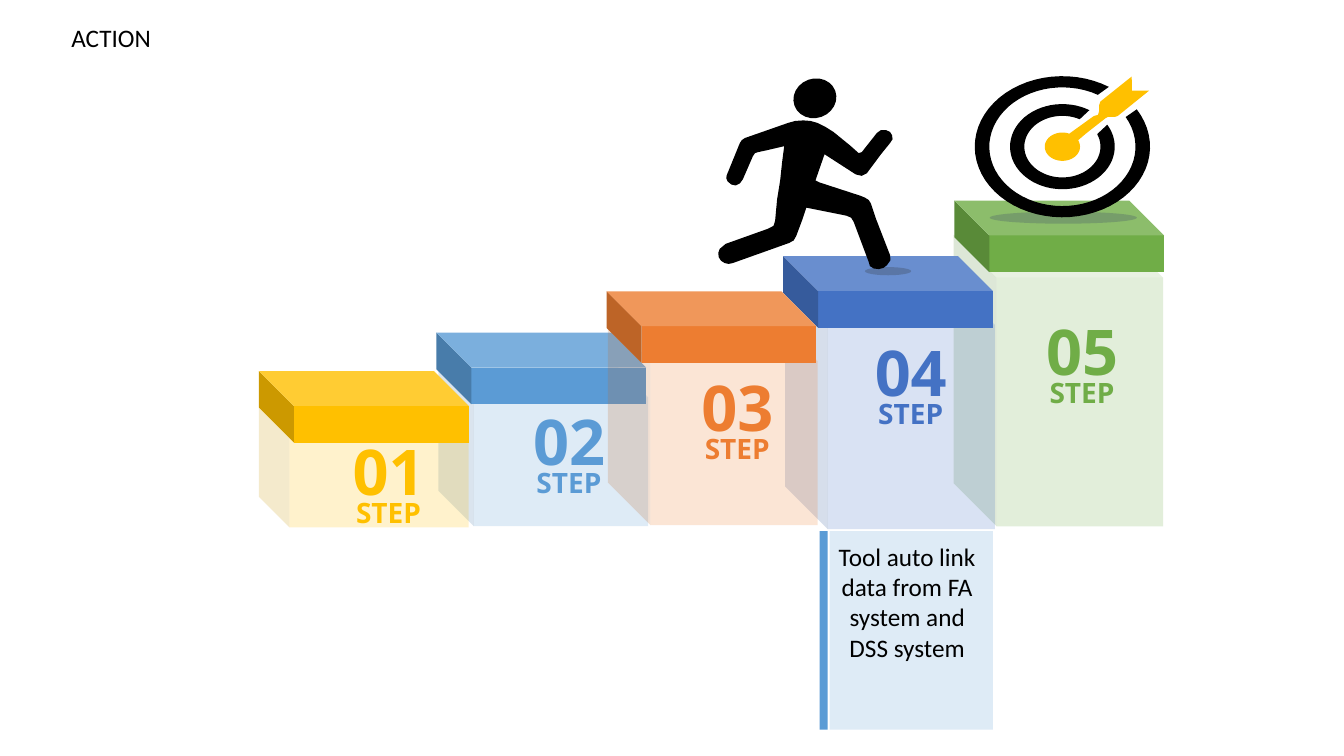
from dataclasses import dataclass
from math import cos, radians, sin

from lxml import etree
from pptx import Presentation
from pptx.dml.color import RGBColor
from pptx.enum.shapes import MSO_SHAPE
from pptx.enum.text import PP_ALIGN
from pptx.oxml.ns import qn
from pptx.util import Pt

CUBE, OVAL, RECTANGLE = MSO_SHAPE.CUBE, MSO_SHAPE.OVAL, MSO_SHAPE.RECTANGLE
LEFT, CENTER = PP_ALIGN.LEFT, PP_ALIGN.CENTER

BLACK = RGBColor(0x00, 0x00, 0x00)
SLATE = RGBColor(0x44, 0x54, 0x6A)
GOLD = RGBColor(0xFF, 0xC0, 0x00)
SKY = RGBColor(0x5B, 0x9B, 0xD5)
ORANGE = RGBColor(0xED, 0x7D, 0x31)
BLUE = RGBColor(0x44, 0x72, 0xC4)
GREEN = RGBColor(0x70, 0xAD, 0x47)

Points = list[tuple[float, float]]


@dataclass(frozen=True)
class Box:
    left: float
    top: float
    width: float
    height: float

    def lengths(self) -> tuple[Pt, Pt, Pt, Pt]:
        return Pt(self.left), Pt(self.top), Pt(self.width), Pt(self.height)


@dataclass(frozen=True)
class Step:
    number: str
    color: RGBColor
    body_left: float
    body_top: float
    body_height: float
    body_depth: float
    lid_left: float
    lid_top: float
    label_left: float
    label_top: float


@dataclass(frozen=True)
class Ring:
    """Ellipse radii, and the angles where the dart's gap ends and starts."""
    radius_x: float
    radius_y: float
    start: float
    end: float


BLOCK_WIDTH, LID_HEIGHT, LID_DEPTH = 149.8, 51.1, 0.488
LABEL_WIDTH, NUMBER_HEIGHT, WORD_HEIGHT = 85.7, 46, 23

# Back to front
STEPS = [
    Step("05", GREEN, 681.1, 167.8, 208.1, 0.205, 681.8, 143.3, 730.1, 223),
    Step("04", BLUE, 560.9, 201.6, 176.4, 0.203, 559.4, 182.9, 607.7, 238.5),
    Step("02", SKY, 313.2, 258.5, 117.4, 0.216, 311.8, 237.6, 363.6, 287.8),
    Step("01", GOLD, 185, 291.6, 85, 0.256, 185, 265, 234.7, 308.7),
    Step("03", ORANGE, 434.2, 227.5, 147.6, 0.206, 433.4, 208.1, 483.8, 263.3),
]

TARGET_X, TARGET_Y = 758.9, 104.8
RINGS = [
    (Ring(62.6, 50.4, -32, 302), Ring(52.2, 42.4, -30, 299)),
    (Ring(37.4, 30.4, -31, 301), Ring(27.2, 22, -24, 297)),
]
BULLSEYE = Ring(12.6, 10.1, -27, 293)
DART: Points = [
    (781.2, 83), (784.4, 82), (785.2, 79), (785.2, 75), (786, 72.6),
    (808.4, 54.7), (808.6, 64.7), (820.8, 64.8), (798.5, 82.8), (796.3, 83.6),
    (791.3, 83.6), (789.8, 84.4), (776, 95.2),
]
RUNNER: Points = [
    # Back arm
    (560.2, 104.4), (547.9, 107.3), (541.4, 108.7), (539.3, 109.4),
    (537.8, 111.6), (530.6, 128.2), (528.5, 131), (525.6, 132.5),
    (522.4, 131.8), (519.8, 129.6), (518.8, 127.4), (519.1, 125.3),
    (528.5, 102.2), (529.9, 100.1), (532.1, 98.6), (563, 87.8),
    # Shoulders and front arm
    (568, 86.4), (573.8, 86), (579, 86.4), (583.9, 87.8), (589.7, 90.7),
    (595.4, 94.3), (607, 103.7), (613.4, 109.4), (615.6, 108.7),
    (626.4, 95), (629.3, 92.9), (632.9, 92.9), (635.8, 94.3),
    (637.2, 96.5), (637.6, 99.4), (635.8, 102.2), (629.3, 110.2),
    (619.2, 123.8), (615.6, 125.6), (611.3, 124.6), (589, 110.2),
    # Front leg
    (582.5, 128.9), (585.4, 130.3), (614.2, 139.7), (617.8, 141.1),
    (620.6, 142.9), (622.1, 145.4), (625.7, 156.2), (635.8, 182.2),
    (636.1, 185.8), (633.6, 189.4), (631, 191.4), (627.8, 192.2),
    (624.3, 191.8), (621.4, 190.1), (620.6, 187.2), (609.8, 158.4),
    (608, 155.5), (604.8, 154.1), (576, 148.3),
    # Back leg
    (573.1, 157), (568.8, 168.5), (567, 171.7), (563.8, 173.5),
    (523.4, 187.9), (520.5, 188.5), (517.7, 187.9), (515, 186.2),
    (513.4, 183.6), (513.1, 180.6), (514.1, 177.8), (518.4, 174.2),
    (548.6, 163.4), (552.6, 161.3), (553.7, 157.7), (555.1, 142.6),
    (557.3, 128.9), (558.7, 115.9),
]


def paint(shape, color: RGBColor, opacity: int = 100) -> None:
    shape.shadow.inherit = False
    shape.line.fill.background()
    shape.fill.solid()
    shape.fill.fore_color.rgb = color
    if opacity < 100:
        tone = next(shape._element.spPr.iter(qn("a:srgbClr")))
        etree.SubElement(tone, qn("a:alpha")).set("val", str(opacity * 1000))


def add_solid(page, kind, box: Box, color: RGBColor, opacity: int = 100):
    shape = page.shapes.add_shape(kind, *box.lengths())
    paint(shape, color, opacity)
    return shape


def add_block(page, box: Box, depth: float, color: RGBColor, opacity: int = 100) -> None:
    block = add_solid(page, CUBE, box, color, opacity)
    block.adjustments[0] = depth
    block._element.spPr.find(qn("a:xfrm")).set("flipH", "1")


def add_outline(page, points: Points, color: RGBColor) -> None:
    corners = [(Pt(x), Pt(y)) for x, y in points]
    builder = page.shapes.build_freeform(*corners[0])
    builder.add_line_segments(corners[1:], close=True)
    paint(builder.convert_to_shape(), color)


def add_text(page, box: Box, text: str, size: float, color: RGBColor = BLACK,
             font: str = "Calibri", bold: bool = False, align=CENTER,
             padded: bool = True) -> None:
    frame = page.shapes.add_textbox(*box.lengths()).text_frame
    frame.word_wrap = True
    if not padded:
        frame.margin_left = frame.margin_right = 0
        frame.margin_top = frame.margin_bottom = 0
    para = frame.paragraphs[0]
    para.text = text
    para.alignment = align
    para.font.name, para.font.size, para.font.bold = font, Pt(size), bold
    para.font.color.rgb = color


def add_step(page, step: Step) -> None:
    add_block(page, Box(step.body_left, step.body_top, BLOCK_WIDTH, step.body_height),
              step.body_depth, step.color, 20)
    add_block(page, Box(step.lid_left, step.lid_top, BLOCK_WIDTH, LID_HEIGHT),
              LID_DEPTH, step.color)
    word_top = step.label_top + 45
    for text, size, top, height in (
        (step.number, 45, step.label_top, NUMBER_HEIGHT),
        ("STEP", 20, word_top, WORD_HEIGHT),
    ):
        add_text(page, Box(step.label_left, top, LABEL_WIDTH, height), text, size,
                 step.color, "Open Sans", bold=True, padded=False)


def arc(ring: Ring, pieces: int = 60) -> Points:
    sweep = (ring.end - ring.start) / pieces
    angles = [radians(ring.start + sweep * i) for i in range(pieces + 1)]
    return [(TARGET_X + ring.radius_x * cos(a), TARGET_Y + ring.radius_y * sin(a))
            for a in angles]


deck = Presentation()
deck.slide_width, deck.slide_height = Pt(960), Pt(540)
page = deck.slides.add_slide(deck.slide_layouts[6])

# Staircase
for step in STEPS:
    add_step(page, step)

# Target with dart
add_solid(page, OVAL, Box(707, 151.2, 105.1, 8.6), SLATE, 30)
for outer, inner in RINGS:
    add_outline(page, arc(outer) + arc(inner)[::-1], BLACK)
add_outline(page, DART + arc(BULLSEYE), GOLD)

# Runner
add_solid(page, OVAL, Box(617.8, 190.8, 33.1, 5.8), SLATE, 40)
add_outline(page, RUNNER, BLACK)
head = add_solid(page, OVAL, Box(566.6, 56.2, 31, 28.1), BLACK)
head.rotation = 340.1

# Note below step 04
add_solid(page, RECTANGLE, Box(592.6, 379.4, 116.6, 141.8), SKY, 20)
add_solid(page, RECTANGLE, Box(585.4, 379.4, 5.8, 141.8), SKY)
add_text(page, Box(586.8, 383, 122.4, 94.3),
         "Tool auto link data from FA system and DSS system", 18)

# Title
add_text(page, Box(43.9, 12.2, 227.5, 28.8), "ACTION", 18, align=LEFT)

deck.save("out.pptx")
